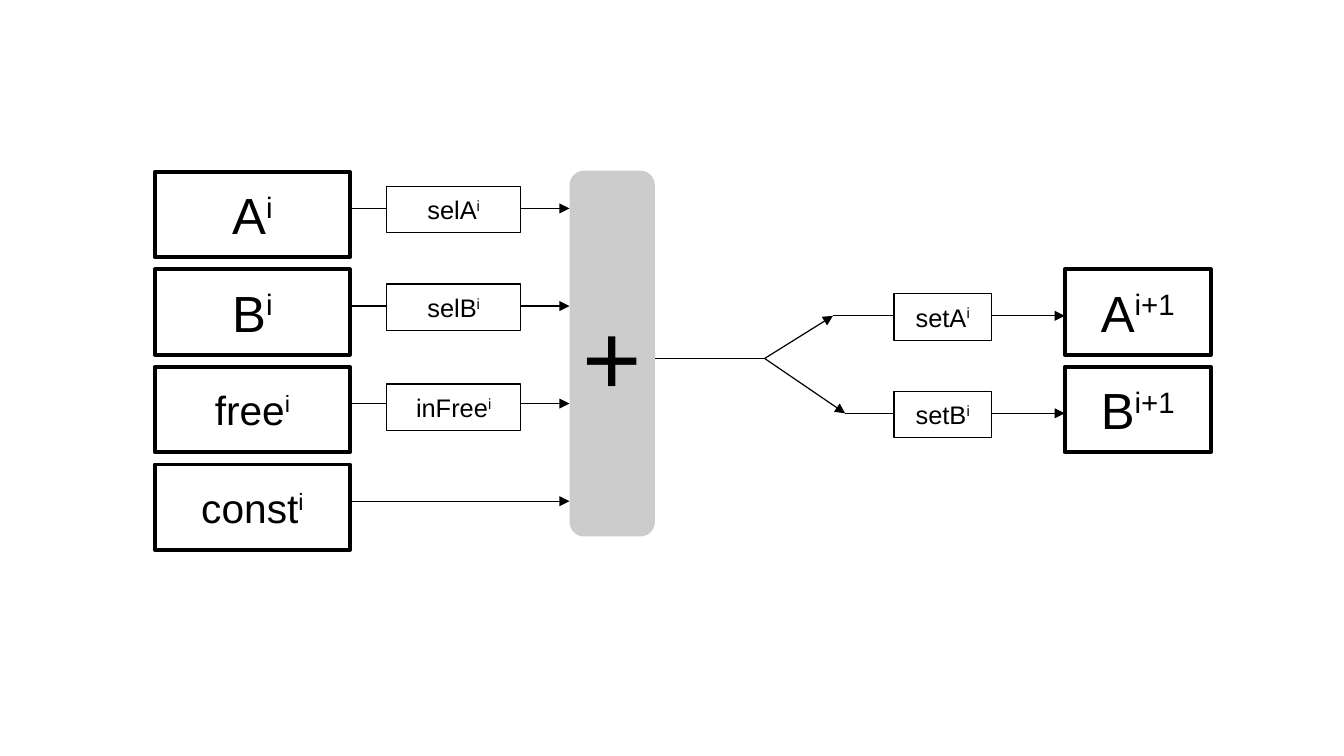
from lxml import etree
from pptx import Presentation
from pptx.dml.color import RGBColor
from pptx.enum import shapes, text
from pptx.oxml import ns
from pptx.util import Inches, Pt

BLACK, WHITE, GREY = "000000", "FFFFFF", "CCCCCC"

# base, superscript, font size, selector (name, top) or None
INPUTS = [
    ("A", "i", 30, ("selA", 1.53)),
    ("B", "i", 30, ("selB", 2.33)),
    ("free", "i", 24, ("inFree", 3.15)),
    ("const", "i", 24, None),
]
# base, superscript, font size, setter name, x where its branch ends
OUTPUTS = [
    ("A", "i+1", 30, "setA", 6.83),
    ("B", "i+1", 30, "setB", 6.93),
]

ROW_STEP = 0.8
REGISTER_HEIGHT, GATE_HEIGHT = 0.7, 0.38
INPUT_LEFT, INPUT_TOP, INPUT_WIDTH = 1.27, 1.41, 1.6
INPUT_ARROW_TOP = 1.71
SELECTOR_LEFT, SELECTOR_WIDTH = 3.17, 1.1
ADDER_LEFT, ADDER_TOP, ADDER_WIDTH, ADDER_HEIGHT = 4.67, 1.4, 0.7, 3
FORK_X, FORK_Y = 6.27, 2.94
SETTER_LEFT, SETTER_WIDTH = 7.33, 0.8
OUTPUT_LEFT, OUTPUT_TOP, OUTPUT_WIDTH = 8.73, 2.21, 1.2
OUTPUT_ARROW_TOP = 2.59
THICK, THIN = 2.27, 0.71

presentation = Presentation()
presentation.slide_width, presentation.slide_height = Inches(11.02), Inches(6.2)
slide = presentation.slides.add_slide(presentation.slide_layouts[6])


def color(value):
    return RGBColor.from_string(value)


def write(shape, base, superscript, size, inset_x=0.1, inset_y=0.05):
    frame = shape.text_frame
    frame.word_wrap = True
    frame.vertical_anchor = text.MSO_ANCHOR.MIDDLE
    frame.margin_left = frame.margin_right = Inches(inset_x)
    frame.margin_top = frame.margin_bottom = Inches(inset_y)
    paragraph = frame.paragraphs[0]
    paragraph.alignment = text.PP_ALIGN.CENTER
    paragraph.font.name = "Arial"
    paragraph.font.size = Pt(size)
    paragraph.font.color.rgb = color(BLACK)
    paragraph.add_run().text = base
    if superscript:
        run = paragraph.add_run()
        run.text = superscript
        run._r.get_or_add_rPr().set("baseline", "33000")


def add_box(left, top, width, height, line_width):
    box = slide.shapes.add_shape(
        shapes.MSO_SHAPE.RECTANGLE,
        Inches(left), Inches(top), Inches(width), Inches(height))
    box.shadow.inherit = False
    box.line.color.rgb = color(BLACK)
    box.line.width = Pt(line_width)
    return box


def add_register(left, top, width, base, superscript, size):
    box = add_box(left, top, width, REGISTER_HEIGHT, THICK)
    box.fill.background()
    write(box, base, superscript, size, 0.11, 0.06)


def add_gate(left, top, width, name):
    """Add a small white box that covers the arrow running behind it."""
    box = add_box(left, top, width, GATE_HEIGHT, THIN)
    box.fill.solid()
    box.fill.fore_color.rgb = color(WHITE)
    write(box, name, "i", 15)


def add_line(start_x, start_y, end_x, end_y, arrow=True):
    connector = slide.shapes.add_connector(
        shapes.MSO_CONNECTOR.STRAIGHT,
        Inches(start_x), Inches(start_y), Inches(end_x), Inches(end_y))
    connector.line.color.rgb = color(BLACK)
    connector.line.width = Pt(THIN)
    if arrow:
        etree.SubElement(connector.line._get_or_add_ln(), ns.qn("a:tailEnd"), type="triangle")
    etree.SubElement(connector._element.spPr, ns.qn("a:effectLst"))


adder = slide.shapes.add_shape(
    shapes.MSO_SHAPE.ROUNDED_RECTANGLE,
    Inches(ADDER_LEFT), Inches(ADDER_TOP), Inches(ADDER_WIDTH), Inches(ADDER_HEIGHT))
adder.adjustments[0] = 0.17
adder.shadow.inherit = False
adder.fill.solid()
adder.fill.fore_color.rgb = color(GREY)
adder.line.fill.background()

plus = slide.shapes.add_textbox(
    Inches(ADDER_LEFT), Inches(2.29), Inches(ADDER_WIDTH), Inches(1.24))
write(plus, "+", "", 60)

for row, (base, superscript, size, selector) in enumerate(INPUTS):
    offset = row * ROW_STEP
    arrow_y = INPUT_ARROW_TOP + offset
    add_line(INPUT_LEFT + INPUT_WIDTH, arrow_y, ADDER_LEFT, arrow_y)
    add_register(INPUT_LEFT, INPUT_TOP + offset, INPUT_WIDTH, base, superscript, size)
    if selector:
        name, top = selector
        add_gate(SELECTOR_LEFT, top, SELECTOR_WIDTH, name)

add_line(ADDER_LEFT + ADDER_WIDTH, FORK_Y, FORK_X, FORK_Y, arrow=False)

for row, (base, superscript, size, setter, branch_x) in enumerate(OUTPUTS):
    offset = row * ROW_STEP
    arrow_y = OUTPUT_ARROW_TOP + offset
    add_line(FORK_X, FORK_Y, branch_x, arrow_y)
    add_line(branch_x, arrow_y, OUTPUT_LEFT, arrow_y)
    add_gate(SETTER_LEFT, 2.41 + offset, SETTER_WIDTH, setter)
    add_register(OUTPUT_LEFT, OUTPUT_TOP + offset, OUTPUT_WIDTH, base, superscript, size)

presentation.save("out.pptx")
